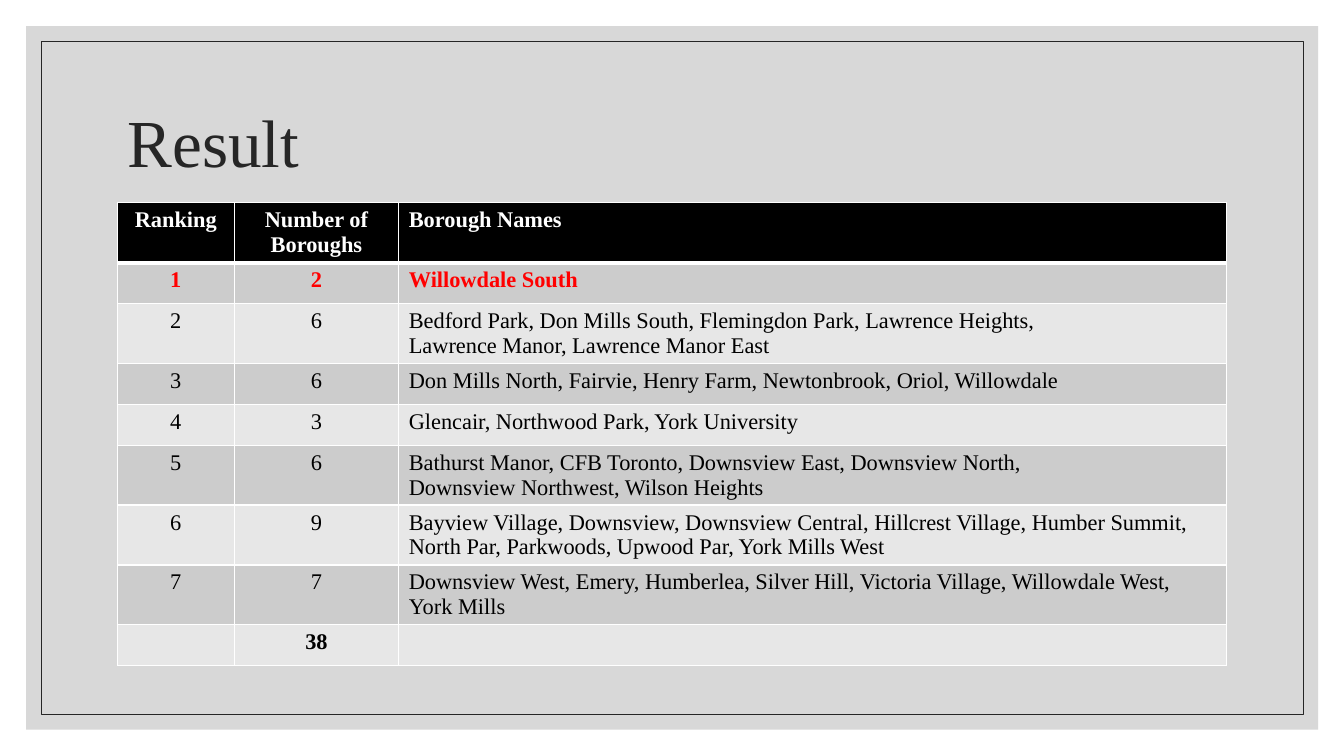
from lxml import etree
from pptx import Presentation
from pptx.dml.color import RGBColor
from pptx.enum.shapes import MSO_SHAPE
from pptx.enum.text import MSO_ANCHOR, PP_ALIGN
from pptx.oxml import parse_xml
from pptx.oxml.ns import nsdecls, qn
from pptx.util import Cm, Pt

RECT = MSO_SHAPE.RECTANGLE
MIDDLE = MSO_ANCHOR.MIDDLE
LEFT, CENTER = PP_ALIGN.LEFT, PP_ALIGN.CENTER

FONT = "Times New Roman"
BLACK = RGBColor(0x00, 0x00, 0x00)
WHITE = RGBColor(0xFF, 0xFF, 0xFF)
RED = RGBColor(0xFF, 0x00, 0x00)
INK = RGBColor(0x26, 0x26, 0x26)
PANEL = RGBColor(0xBF, 0xBF, 0xBF)
BANDS = [RGBColor(0xE7, 0xE7, 0xE7), RGBColor(0xCC, 0xCC, 0xCC)]

ROWS = [
    ("Ranking", "Number of Boroughs", "Borough Names"),
    ("1", "2", "Willowdale South"),
    ("2", "6", "Bedford Park, Don Mills South, Flemingdon Park, Lawrence Heights,\n"
               "Lawrence Manor, Lawrence Manor East"),
    ("3", "6", "Don Mills North, Fairvie, Henry Farm, Newtonbrook, Oriol, Willowdale"),
    ("4", "3", "Glencair, Northwood Park, York University"),
    ("5", "6", "Bathurst Manor, CFB Toronto, Downsview East, Downsview North,\n"
               "Downsview Northwest, Wilson Heights"),
    ("6", "9", "Bayview Village, Downsview, Downsview Central, Hillcrest Village, "
               "Humber Summit, North Par, Parkwoods, Upwood Par, York Mills West"),
    ("7", "7", "Downsview West, Emery, Humberlea, Silver Hill, Victoria Village, "
               "Willowdale West, York Mills"),
    ("", "38", ""),
]
COLUMN_WIDTHS = [2.94, 4.15, 20.85]
ROW_HEIGHT = 1.03


def set_borders(cell, bottom):
    tcPr = cell._tc.get_or_add_tcPr()
    for side, width in (("L", 1), ("R", 1), ("T", 1), ("B", bottom)):
        tcPr.append(parse_xml(
            f'<a:ln{side} {nsdecls("a")} w="{Pt(width)}"><a:solidFill>'
            f'<a:srgbClr val="{WHITE}"/></a:solidFill></a:ln{side}>'))


prs = Presentation()
prs.slide_width, prs.slide_height = Cm(33.87), Cm(19.05)
s = prs.slides.add_slide(prs.slide_layouts[5])

title = s.shapes.title
title.left, title.top, title.width, title.height = Cm(2.96), Cm(1.78), Cm(27.94), Cm(3.81)
title.text = "Result"
title.text_frame.vertical_anchor = MIDDLE
p = title.text_frame.paragraphs[0]
p.alignment = LEFT
p.line_spacing = 0.9
p.font.name, p.font.size = FONT, Pt(48)
p.font.color.rgb = INK

panel = s.shapes.add_shape(RECT, Cm(0.66), Cm(0.66), Cm(32.56), Cm(17.73))
panel.fill.solid()
panel.fill.fore_color.rgb = PANEL
panel.line.fill.background()
color = panel.fill._xPr.find(".//" + qn("a:srgbClr"))
etree.SubElement(color, qn("a:alpha"), val="60000")

frame = s.shapes.add_shape(RECT, Cm(1.04), Cm(1.04), Cm(31.8), Cm(16.97))
frame.fill.background()
frame.line.color.rgb = INK
frame.line.width = Pt(0.5)

for sp in (panel, frame):
    sp.shadow.inherit = False
    title.element.addprevious(sp.element)

table = s.shapes.add_table(len(ROWS), len(COLUMN_WIDTHS), Cm(2.96), Cm(5.11),
                           Cm(sum(COLUMN_WIDTHS)), Cm(ROW_HEIGHT * len(ROWS))).table
for column, width in zip(table.columns, COLUMN_WIDTHS):
    column.width = Cm(width)

for i, texts in enumerate(ROWS):
    table.rows[i].height = Cm(ROW_HEIGHT)
    header = i == 0
    for j, text in enumerate(texts):
        cell = table.cell(i, j)
        set_borders(cell, 3 if header else 1)
        cell.fill.solid()
        cell.fill.fore_color.rgb = BLACK if header else BANDS[i % 2]
        cell.text = text
        for p in cell.text_frame.paragraphs:
            p.alignment = LEFT if j == 2 else CENTER
            p.font.name, p.font.size = FONT, Pt(16)
            p.font.bold = i in (0, 1, len(ROWS) - 1)
            p.font.color.rgb = WHITE if header else RED if i == 1 else BLACK

prs.save("out.pptx")
